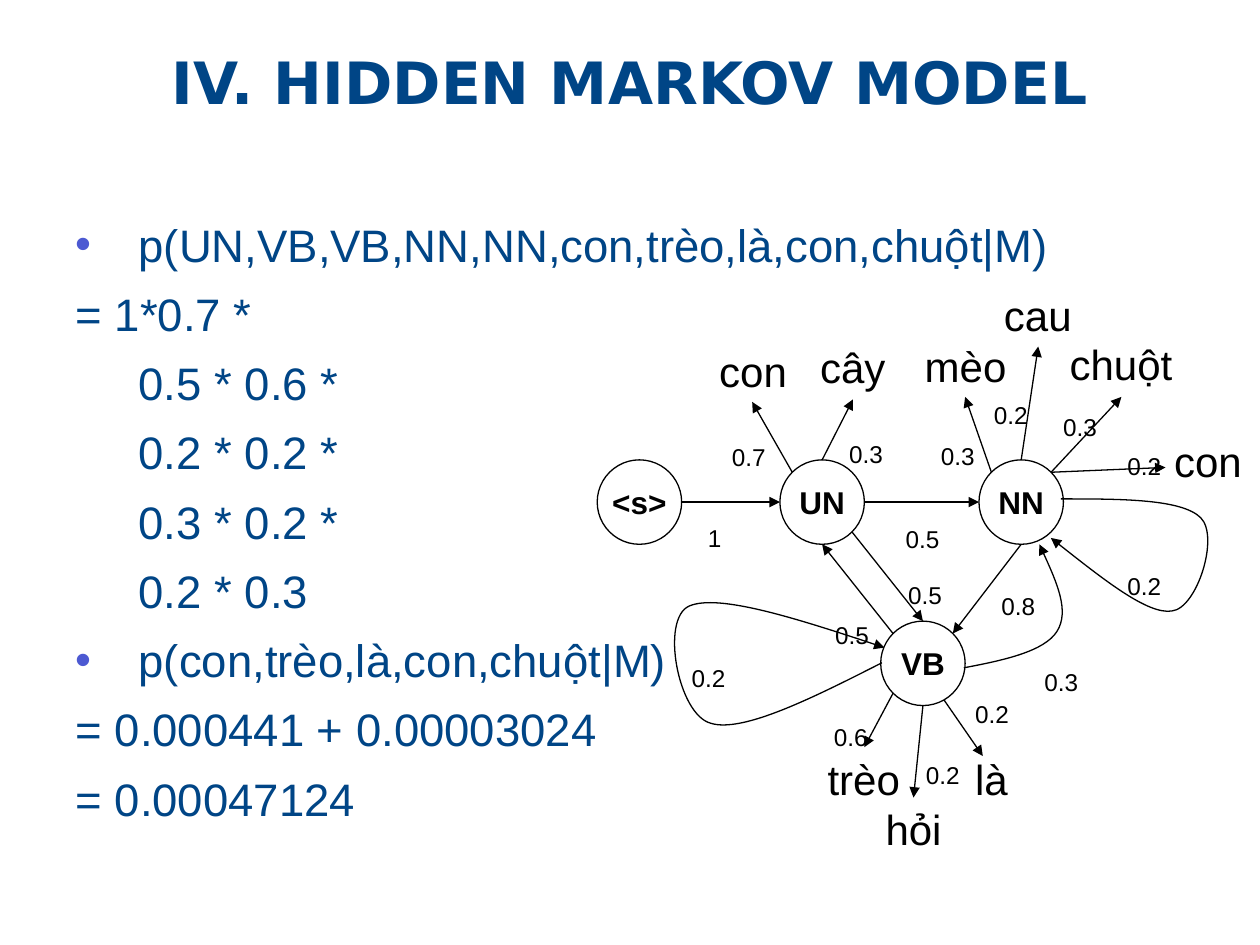
from math import cos, radians, sin
from lxml import etree
from pptx import Presentation, util as u
from pptx.dml.color import RGBColor
from pptx.enum import shapes, text
from pptx.oxml.ns import qn

COLS, ROWS = 100, 75
SIDE = 6.7  # node diameter, in grid units


def tint(code):
    return RGBColor.from_string(code)


def rim(mid, turn):
    """Point on a node's edge, in degrees clockwise from the right."""
    x, y = mid
    return x + SIDE / 2 * cos(radians(turn)), y + SIDE / 2 * sin(radians(turn))


def bezier(a, b, c, d, t):
    s = 1 - t
    return tuple(s**3 * p + 3 * s * s * t * q + 3 * s * t * t * r + t**3 * v
                 for p, q, r, v in zip(a, b, c, d))


class Board:
    font, head = "Arial", "DejaVu Sans"
    blue, ink, dot = "004586", "000000", "4C59D2"

    def __init__(self, deck):
        self.deck = deck
        self.slide = deck.slides.add_slide(deck.slide_layouts[1])
        self.shapes = self.slide.shapes

    def x(self, col):
        return round(self.deck.slide_width * col / COLS)

    def y(self, row):
        return round(self.deck.slide_height * row / ROWS)

    def put(self, shape, col, row, wide, high):
        shape.left, shape.top = self.x(col), self.y(row)
        shape.width, shape.height = self.x(wide), self.y(high)

    def frame(self, shape, pad=(0.1, 0.05), wrap=True):
        tf = shape.text_frame
        tf.margin_left = tf.margin_right = u.Inches(pad[0])
        tf.margin_top = tf.margin_bottom = u.Inches(pad[1])
        tf.word_wrap, tf.auto_size = wrap, text.MSO_AUTO_SIZE.NONE
        return tf

    def run(self, para, words, size, color=ink, bold=False, font=font):
        run = para.add_run()
        run.text = words
        run.font.size, run.font.name = u.Pt(size), font
        run.font.bold, run.font.color.rgb = bold, tint(color)
        return run

    def title(self, words):
        shape = self.shapes.title
        self.put(shape, 2.5, 3.9, 95, 5.8)
        tf = self.frame(shape, (0, 0))
        tf.vertical_anchor = text.MSO_ANCHOR.MIDDLE
        para = tf.paragraphs[0]
        para.alignment, para.line_spacing = text.PP_ALIGN.CENTER, 0.9
        self.run(para, words, 33.3, self.blue, True, self.head)

    def body(self, lines):
        """Fill the list; each line is (has bullet, words)."""
        shape = self.shapes.placeholders[1]
        self.put(shape, 5, 16.7, 90, 52.5)
        tf = self.frame(shape)
        for i, (mark, words) in enumerate(lines):
            para = tf.add_paragraph() if i else tf.paragraphs[0]
            para.space_before = u.Pt(8.4 if i else 0)
            self.bullet(para, mark)
            self.run(para, words, 26, self.blue)

    def bullet(self, para, mark):
        ppr = para._p.get_or_add_pPr()
        ppr.set("marL", str(u.Inches(0.5)))
        ppr.set("indent", str(u.Inches(-0.5)))
        if mark:
            color = etree.SubElement(ppr, qn("a:buClr"))
            etree.SubElement(color, qn("a:srgbClr"), val=self.dot)
            etree.SubElement(ppr, qn("a:buChar"), char="•")
        else:
            etree.SubElement(ppr, qn("a:buNone"))

    def node(self, words, mid, align=text.PP_ALIGN.CENTER):
        shape = self.shapes.add_shape(shapes.MSO_SHAPE.OVAL, 0, 0, 0, 0)
        self.put(shape, mid[0] - SIDE / 2, mid[1] - SIDE / 2, SIDE, SIDE)
        shape.shadow.inherit = False
        shape.fill.background()
        self.pen(shape)
        tf = self.frame(shape, (0, 0), wrap=align is not text.PP_ALIGN.LEFT)
        tf.vertical_anchor = text.MSO_ANCHOR.MIDDLE
        tf.paragraphs[0].alignment = align
        self.run(tf.paragraphs[0], words, 18, bold=True)

    def pen(self, shape, tip=False):
        shape.line.color.rgb, shape.line.width = tint(self.ink), u.Pt(0.75)
        if tip:
            etree.SubElement(shape.line._get_or_add_ln(), qn("a:tailEnd"),
                             type="triangle")

    def arrow(self, start, end):
        line = self.shapes.add_connector(
            shapes.MSO_CONNECTOR.STRAIGHT, self.x(start[0]), self.y(start[1]),
            self.x(end[0]), self.y(end[1]))
        self.pen(line, True)
        etree.SubElement(line._element.spPr, qn("a:effectLst"))

    def curve(self, start, *bends):
        """Arrow along cubic curves; each bend is two handles and an end."""
        dots, last = [], start
        for bend in bends:
            dots += [bezier(last, *bend, i / 20) for i in range(1, 21)]
            last = bend[2]
        path = self.shapes.build_freeform(self.x(start[0]), self.y(start[1]))
        path.add_line_segments([(self.x(a), self.y(b)) for a, b in dots], False)
        shape = path.convert_to_shape()
        trace = shape._element.spPr.find(".//" + qn("a:path"))
        for step in trace.findall(qn("a:lnTo")):
            trace.remove(step)
        for bend in bends:
            cubic = etree.SubElement(trace, qn("a:cubicBezTo"))
            for a, b in bend:
                etree.SubElement(cubic, qn("a:pt"), x=str(self.x(a) - shape.left),
                                 y=str(self.y(b) - shape.top))
        shape.shadow.inherit = False
        shape.fill.background()
        self.pen(shape, True)

    def label(self, words, col, row, wide, high=5):
        box = self.shapes.add_textbox(0, 0, 0, 0)
        self.put(box, col, row, wide, high)
        tf = self.frame(box, wrap=False)
        return self.run(tf.paragraphs[0], words, 24)

    def odds(self, words, col, row, wide=4.7):
        run = self.label(words, col, row, wide, 5.6)
        run._r.get_or_add_rPr().set("baseline", "-25000")


def main():
    deck = Presentation()
    deck.slide_width, deck.slide_height = u.Inches(10), u.Inches(7.5)
    board = Board(deck)
    board.title("IV. HIDDEN MARKOV MODEL")
    board.body([
        (True, "p(UN,VB,VB,NN,NN,con,trèo,là,con,chuột|M)"),
        (False, "= 1*0.7 *"), (False, "\t0.5 * 0.6 *"), (False, "\t0.2 * 0.2 *"),
        (False, "\t0.3 * 0.2 *"), (False, "\t0.2 * 0.3"),
        (True, "p(con,trèo,là,con,chuột|M)"),
        (False, "= 0.000441 + 0.00003024"), (False, "= 0.00047124")])

    s, un, nn, vb = (50.75, 39.85), (65.25, 39.85), (81.05, 39.85), (73.25, 52.65)
    board.node("<s>", s)
    for words, mid in (("UN", un), ("NN", nn), ("VB", vb)):
        board.node(words, mid)

    for a, out, b, into in ((s, 0, un, 180), (un, 0, nn, 180), (nn, 90, vb, -45),
                            (vb, -135, un, 90), (un, 45, vb, -90)):
        board.arrow(rim(a, out), rim(b, into))
    for mid, out, end in (
            (un, -135, (59.7, 31.9)), (un, -90, (67.7, 31.7)),
            (nn, -135, (76.6, 31.5)), (nn, -90, (82.4, 27.5)),
            (nn, -45, (89, 31.5)), (nn, -45, (92.5, 37.1)),
            (vb, 135, (68.6, 59.3)), (vb, 90, (72.5, 63.3)), (vb, 60, (78, 60))):
        board.arrow(rim(mid, out), end)

    board.curve((84.2, 39.6), ((89, 39.6), (93.8, 39.6), (95.3, 41.1)),
                ((96.8, 42.6), (95, 48.3), (93, 48.5)),
                ((91.1, 48.8), (87.2, 45.7), (83.4, 42.7)))
    board.curve((76.5, 53), ((79.7, 52.4), (82.9, 51.7), (83.9, 50.1)),
                ((84.9, 48.5), (83.7, 45.8), (82.5, 43.2)))
    board.curve((70, 52.6), ((64.5, 55.4), (58.9, 58.2), (56.4, 57.4)),
                ((53.8, 56.7), (52.4, 49.1), (54.7, 48.1)),
                ((57, 47.1), (63.6, 49.2), (70.2, 51.4)))

    for spot in (("con", 56.1, 26.9, 7.4), ("cây", 64.1, 26.6, 7.2),
                 ("mèo", 72.4, 26.5, 8.5), ("cau", 78.7, 22.5, 7.4),
                 ("chuột", 83.9, 26.4, 10.1), ("con", 92.2, 34.1, 7.4),
                 ("trèo", 64.7, 59.3, 7.7), ("hỏi", 69.3, 63.3, 6.4),
                 ("là", 76.4, 59.3, 4.6)):
        board.label(*spot)
    for spot in (("1", 55.2, 38.8, 2.9), ("0.5", 70.9, 38.9), ("0.8", 78.5, 44.2),
                 ("0.5", 65.3, 46.5), ("0.5", 71.1, 43.3), ("0.7", 57.1, 32.4),
                 ("0.3", 66.4, 32.1), ("0.3", 73.7, 32.3), ("0.2", 77.9, 29),
                 ("0.3", 83.4, 30), ("0.2", 88.5, 33.1), ("0.6", 65.2, 54.6),
                 ("0.2", 76.4, 52.8), ("0.2", 72.5, 57.6), ("0.2", 88.5, 42.6),
                 ("0.3", 81.9, 50.2), ("0.2", 53.9, 49.9)):
        board.odds(*spot)
    deck.save("out.pptx")


if __name__ == "__main__":
    main()
